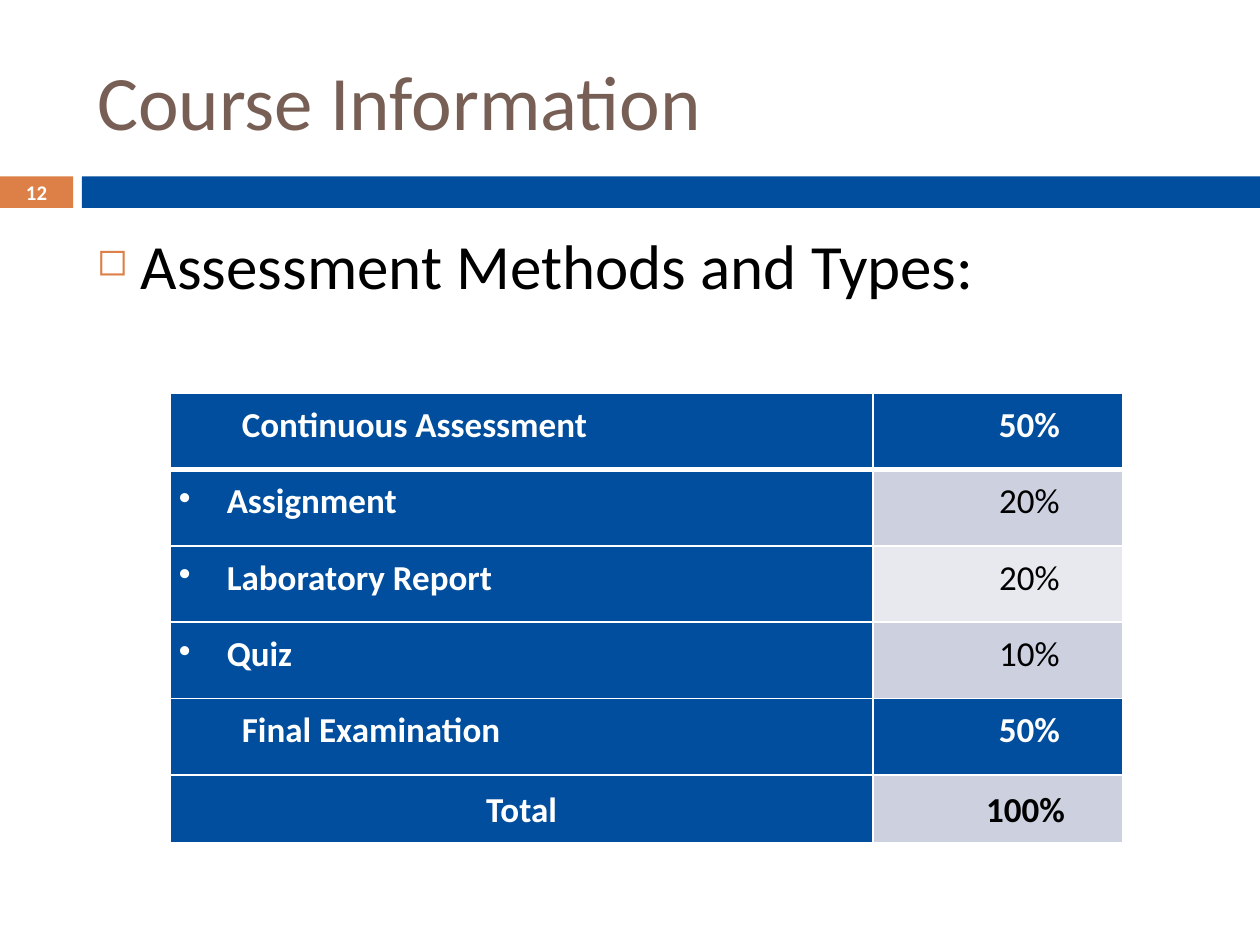
from lxml.etree import SubElement
from pptx import Presentation
from pptx.dml.color import RGBColor
from pptx.enum.shapes import MSO_SHAPE
from pptx.enum.text import MSO_ANCHOR, PP_ALIGN
from pptx.oxml import parse_xml
from pptx.oxml.ns import nsdecls, qn
from pptx.util import Inches, Pt

BLUE, ORANGE, BROWN, WHITE, BLACK = "004E9D", "DD8047", "775F55", "FFFFFF", "000000"
BAND_DARK, BAND_LIGHT = "CCD0DF", "E7E9EF"


def write(p, text, size, color, bold=False, align=None, indent=0, hanging=0,
          bullet=None, bullet_color=None, bullet_size=100):
    """Fill a paragraph; indent and hanging are in inches."""
    pPr = p._p.get_or_add_pPr()
    pPr.set("marL", str(Inches(indent)))
    pPr.set("indent", str(-Inches(hanging)))
    if bullet:
        if bullet_color:
            SubElement(SubElement(pPr, qn("a:buClr")), qn("a:srgbClr")).set("val", bullet_color)
        SubElement(pPr, qn("a:buSzPct")).set("val", str(bullet_size * 1000))
        SubElement(pPr, qn("a:buChar")).set("char", bullet)
    p.alignment = align
    r = p.add_run()
    r.text = text
    for name, value in {"name": "Calibri", "size": Pt(size), "bold": bold}.items():
        setattr(r.font, name, value)
    r.font.color.rgb = RGBColor.from_string(color)


prs = Presentation()
prs.slide_width, prs.slide_height = Inches(10), Inches(7.5)
W, H = prs.slide_width, prs.slide_height
s = prs.slides.add_slide(prs.slide_layouts[5])

# Bar under the title
left, width = int(W * 0.067), int(W * 0.892)
bar_top, bar_height = Inches(1.4), Inches(0.25)
number_width, bar_left = Inches(0.58), Inches(0.65)
bars = []
for x, w, color in ((0, number_width, ORANGE), (bar_left, W - bar_left, BLUE)):
    sp = s.shapes.add_shape(MSO_SHAPE.RECTANGLE, x, bar_top, w, bar_height)
    sp.shadow.inherit = False
    sp.fill.solid()
    sp.fill.fore_color.rgb = RGBColor.from_string(color)
    sp.line.fill.background()
    bars.append(sp)

# Slide number inside the orange block
tf = bars[0].text_frame
for name in ("margin_left", "margin_right", "margin_top", "margin_bottom"):
    setattr(tf, name, 0)
tf.vertical_anchor = MSO_ANCHOR.MIDDLE
write(tf.paragraphs[0], "12", 11.9, WHITE, bold=True, align=PP_ALIGN.CENTER)

# Title
title = s.shapes.title
for name, value in {"left": left, "top": Inches(0.25),
                    "width": width, "height": Inches(1.08)}.items():
    setattr(title, name, value)
title.text_frame.vertical_anchor = MSO_ANCHOR.MIDDLE
write(title.text_frame.paragraphs[0], "Course Information", 44, BROWN, align=PP_ALIGN.LEFT)

# Heading
tf = s.shapes.add_textbox(left, Inches(1.75), width, Inches(0.8)).text_frame
tf.word_wrap = True
write(tf.paragraphs[0], "Assessment Methods and Types:", 36, BLACK, indent=0.35,
      hanging=0.35, bullet="◻", bullet_color=ORANGE, bullet_size=60)

# Assessment table: label, share, kind of row, fill of the share
rows = [
    ("Continuous Assessment", "50%", "group", BLUE),
    ("Assignment", "20%", "item", BAND_DARK),
    ("Laboratory Report", "20%", "item", BAND_LIGHT),
    ("Quiz", "10%", "item", BAND_DARK),
    ("Final Examination", "50%", "group", BLUE),
    ("Total", "100%", "total", BAND_DARK),
]
label_formats = {
    "group": {"indent": 0.5},
    "item": {"indent": 0.38, "hanging": 0.38, "bullet": "•"},
    "total": {"align": PP_ALIGN.CENTER},
}
row_height, total_height = Inches(0.606), Inches(0.54)
table = s.shapes.add_table(len(rows), 2, Inches(1.35), Inches(3.12), Inches(7.56),
                           row_height * 5 + total_height).table
for column, w in zip(table.columns, (5.58, 1.98)):
    column.width = Inches(w)

for i, (label, share, kind, share_fill) in enumerate(rows):
    table.rows[i].height = total_height if kind == "total" else row_height
    share_format = {"align": PP_ALIGN.CENTER, "indent": 0.44 if kind == "total" else 0.5}
    share_color = WHITE if kind == "group" else BLACK
    cells = (
        (label, BLUE, WHITE, True, label_formats[kind]),
        (share, share_fill, share_color, kind != "item", share_format),
    )
    for j, (text, fill, color, bold, layout) in enumerate(cells):
        cell = table.cell(i, j)
        for name, value in {"margin_left": Inches(0.07), "margin_right": Inches(0.07),
                            "margin_top": 0, "margin_bottom": 0,
                            "vertical_anchor": MSO_ANCHOR.MIDDLE}.items():
            setattr(cell, name, value)
        cell.fill.solid()
        cell.fill.fore_color.rgb = RGBColor.from_string(fill)
        p = cell.text_frame.paragraphs[0]
        write(p, text, 20, color, bold, **layout)
        p.line_spacing = 1.07 if kind == "total" else Pt(18)
        thick_sides = {0: "B", 1: "T"}.get(i)
        for k, side in enumerate("LRTB"):
            points = 3 if side == thick_sides else 1
            cell._tc.get_or_add_tcPr().insert(k, parse_xml(
                f'<a:ln{side} {nsdecls("a")} w="{Pt(points)}"><a:solidFill>'
                f'<a:srgbClr val="{WHITE}"/></a:solidFill></a:ln{side}>'))

prs.save("out.pptx")
